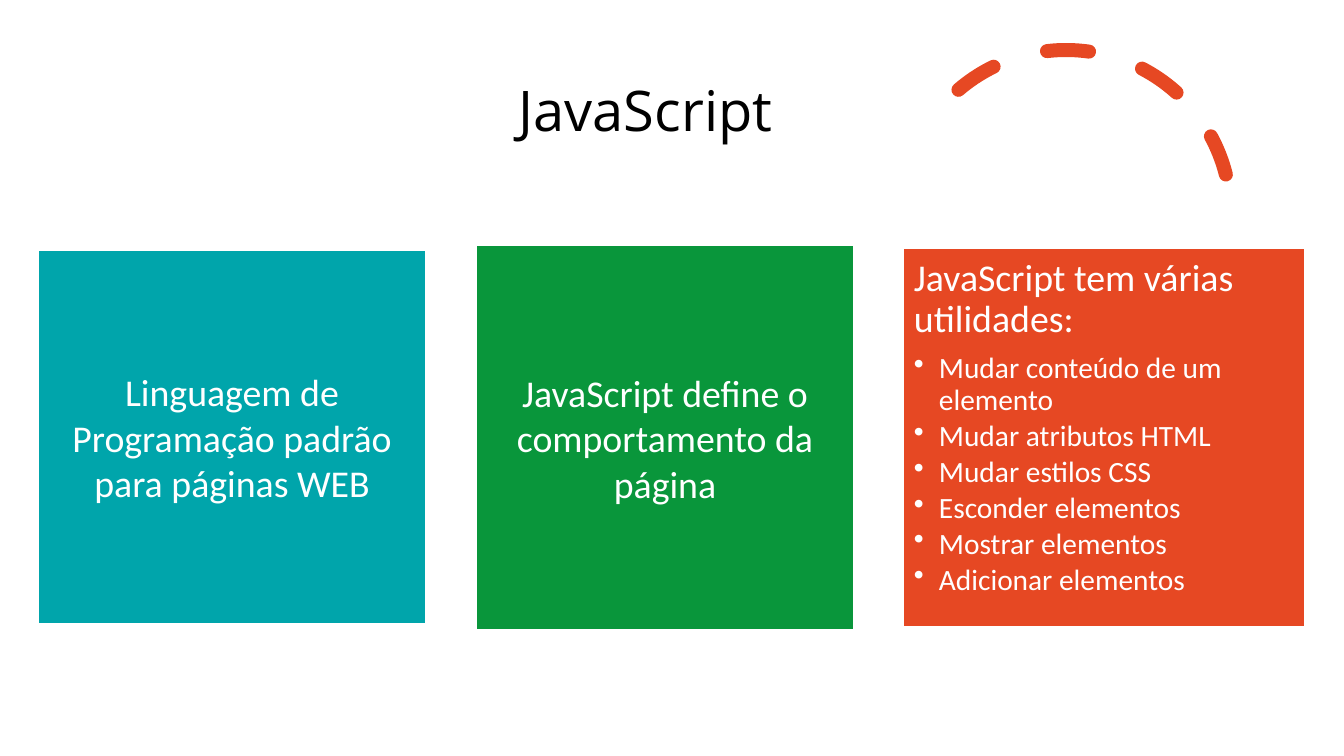
from lxml import etree
from pptx import Presentation
from pptx.dml.color import RGBColor
from pptx.enum.dml import MSO_LINE
from pptx.enum.shapes import MSO_SHAPE
from pptx.enum.text import MSO_ANCHOR, PP_ALIGN
from pptx.oxml.ns import qn
from pptx.util import Pt

RECTANGLE, ARC = MSO_SHAPE.RECTANGLE, MSO_SHAPE.ARC
CENTER, LEFT = PP_ALIGN.CENTER, PP_ALIGN.LEFT
MIDDLE, TOP = MSO_ANCHOR.MIDDLE, MSO_ANCHOR.TOP
DASH = MSO_LINE.DASH

PX = 914400 / 100.8
COLORS = {"black": "000000", "white": "FFFFFF", "teal": "00A5AB",
          "green": "09963B", "orange": "E64823"}


def px(*lengths):
    return [round(length * PX) for length in lengths]


def set_font(paragraph, name, size, color):
    paragraph.font.name = name
    paragraph.font.size = Pt(size)
    paragraph.font.color.rgb = RGBColor.from_string(COLORS[color])


prs = Presentation()
prs.slide_width, prs.slide_height = px(1344, 756)
slide = prs.slides.add_slide(prs.slide_layouts[5])

# Dashed arc, top right
arc = slide.shapes.add_shape(ARC, *px(901, 50, 330, 330))
arc.adjustments[0], arc.adjustments[1] = 146.13, 0
arc.rotation = 345.8
arc.shadow.inherit = False
arc.fill.background()
arc.line.color.rgb = RGBColor.from_string(COLORS["orange"])
arc.line.width = Pt(10)
arc.line.dash_style = DASH
arc.line._get_or_add_ln().set("cap", "rnd")

# Title, set a little left of centre by its wider right margin
title = slide.shapes.title
title.left, title.top, title.width, title.height = px(93, 40, 1159, 146)
frame = title.text_frame
frame.vertical_anchor = MIDDLE
frame.margin_left, frame.margin_right = px(10, 64)
frame.margin_top, frame.margin_bottom = px(10, 10)
heading = frame.paragraphs[0]
heading.text = "JavaScript"
heading.alignment = CENTER
heading.line_spacing = 0.9
set_font(heading, "Open Sans", 40, "black")

# Cards: box, fill, lead text, bullets
cards = [
    ((38, 250, 388, 374), "teal",
     "Linguagem de Programação padrão para páginas WEB", []),
    ((476, 245, 378, 385), "green",
     "JavaScript define o comportamento da página", []),
    ((903, 248, 402, 379), "orange", "JavaScript tem várias utilidades:",
     ["Mudar conteúdo de um elemento", "Mudar atributos HTML",
      "Mudar estilos CSS", "Esconder elementos", "Mostrar elementos",
      "Adicionar elementos"]),
]
for box, color, lead_text, uses in cards:
    card = slide.shapes.add_shape(RECTANGLE, *px(*box))
    card.shadow.inherit = False
    card.fill.solid()
    card.fill.fore_color.rgb = RGBColor.from_string(COLORS[color])
    card.line.color.rgb = RGBColor.from_string(COLORS["white"])
    card.line.width = Pt(1)

    frame = card.text_frame
    frame.word_wrap = True
    frame.vertical_anchor = TOP if uses else MIDDLE
    frame.margin_left, frame.margin_right = px(11, 11)
    frame.margin_top, frame.margin_bottom = px(11, 11)
    lead = frame.paragraphs[0]
    lead.text = lead_text
    lead.alignment = LEFT if uses else CENTER
    set_font(lead, "Calibri", 27, "white")
    if uses:
        lead.line_spacing = 0.9
        lead.space_after = Pt(9)

    for use in uses:
        item = frame.add_paragraph()
        item.text = use
        item.level = 1
        item.alignment = LEFT
        item.line_spacing = 0.9
        item.space_after = Pt(3)
        properties = item._p.get_or_add_pPr()
        indent, = px(25)
        properties.set("marL", str(indent))
        properties.set("indent", str(-indent))
        etree.SubElement(properties, qn("a:buChar")).set("char", "•")
        set_font(item, "Calibri", 21, "white")

prs.save("out.pptx")
